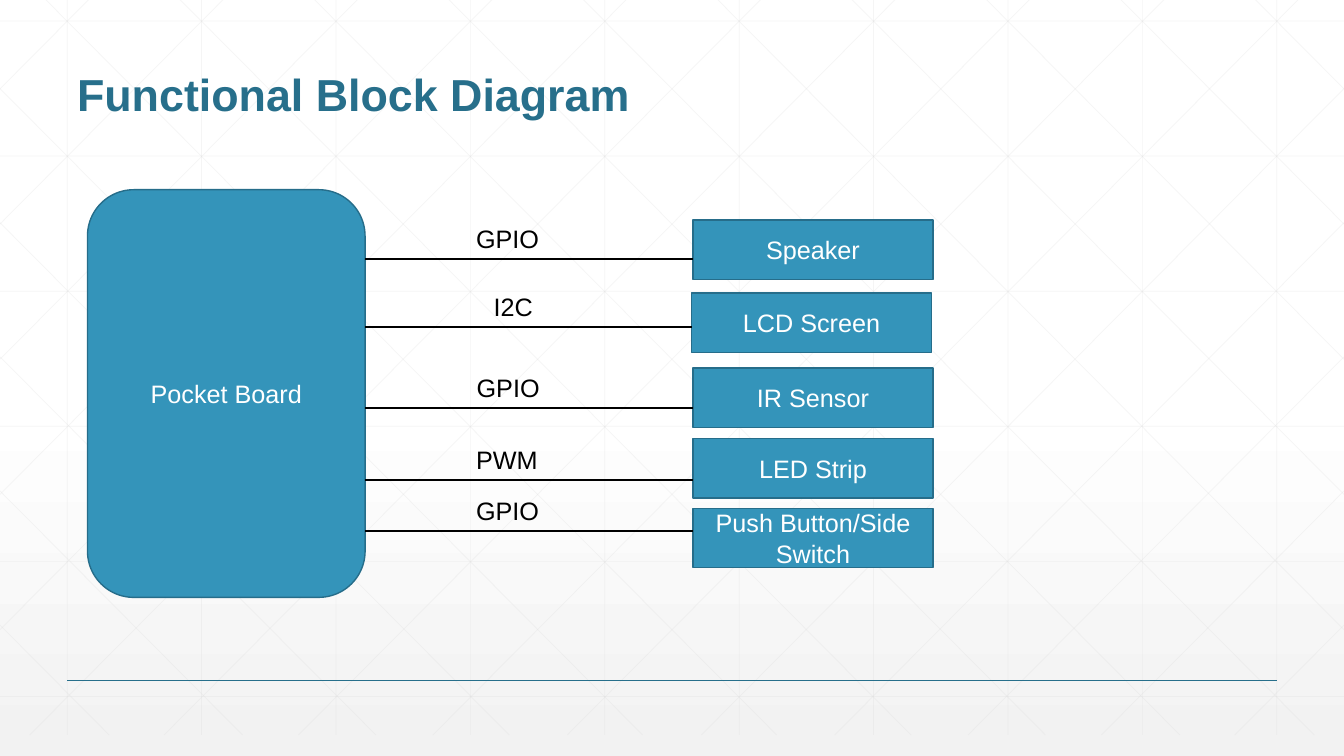
from copy import deepcopy
from dataclasses import dataclass

from lxml import etree
from pptx import Presentation
from pptx.dml.color import RGBColor
from pptx.enum import shapes, text
from pptx.oxml.ns import qn
from pptx.util import Pt


@dataclass(frozen=True)
class Theme:
    font: str = "Arial"
    title_size: int = 32
    body_size: int = 18
    title: str = "276F8B"
    block: str = "3494BA"
    block_edge: str = "266D8A"
    grid: str = "D9D9D9"
    white: str = "FFFFFF"
    shade: str = "F2F2F2"
    black: str = "000000"


THEME = Theme()
WIDTH, HEIGHT = 960, 540
GRID_TOP, GRID_BOTTOM = -15, 525
SLOPE = 1.006

PERIPHERALS = [
    ("GPIO", 333, 185, "Speaker", 495, 157),
    ("I2C", 345.5, 233.4, "LCD Screen", 494, 209.3),
    ("GPIO", 333.4, 291.5, "IR Sensor", 495, 262.8),
    ("PWM", 333, 342.7, "LED Strip", 495, 313.3),
    ("GPIO", 333, 379.4, "Push Button/Side Switch", 495, 363),
]


def rgb(color):
    return RGBColor.from_string(color)


def paint_background(page):
    fill = page.background.fill
    fill.gradient()
    fill.gradient_angle = 270
    for stop, color in zip(fill.gradient_stops, (THEME.white, THEME.shade)):
        stop.color.rgb = rgb(color)
    first, last = page.element.find(".//" + qn("a:gsLst"))
    first.set("pos", "0")
    last.set("pos", "100000")
    middle = deepcopy(first)
    middle.set("pos", "53000")
    first.addnext(middle)


def add_line(page, start, end, color, weight, opacity=100):
    line = page.shapes.add_connector(
        shapes.MSO_CONNECTOR.STRAIGHT, *map(Pt, (*start, *end)))
    line.line.color.rgb = rgb(color)
    line.line.width = Pt(weight)
    properties = line.element.spPr
    etree.SubElement(properties, qn("a:effectLst"))
    if opacity < 100:
        tint = properties.find(".//" + qn("a:srgbClr"))
        etree.SubElement(tint, qn("a:alpha"), val=str(opacity * 1000))


def add_grid_line(page, start, end):
    add_line(page, start, end, THEME.grid, 0.5, 25)


def add_mirrored_pair(page, start, end):
    add_grid_line(page, start, end)
    add_grid_line(page, (WIDTH - start[0], start[1]), (WIDTH - end[0], end[1]))


def add_grid(page):
    for column in range(10):
        x = 48 + 96 * column
        add_grid_line(page, (x, GRID_TOP), (x, GRID_BOTTOM))
    for row in range(6):
        y = 15 + 96.5 * row
        add_grid_line(page, (0, y), (WIDTH, y))
    for step in range(10):
        x = 18 + 96 * step
        run = min(WIDTH - x, (GRID_BOTTOM - GRID_TOP) / SLOPE)
        add_mirrored_pair(page, (x, GRID_TOP), (x + run, GRID_TOP + run * SLOPE))
    for step in range(5):
        x = 501 + 95.25 * step
        rise = (WIDTH - x) * SLOPE
        add_mirrored_pair(page, (x, GRID_BOTTOM), (WIDTH, GRID_BOTTOM - rise))


def write(shape, words, size, color, anchor, align, bold=False):
    frame = shape.text_frame
    frame.word_wrap = True
    frame.vertical_anchor = anchor
    para = frame.paragraphs[0]
    para.text = words
    para.alignment = align
    para.font.name = THEME.font
    para.font.size = Pt(size)
    para.font.bold = bold
    para.font.color.rgb = rgb(color)
    return para


def add_title(page, words):
    box = page.shapes.add_textbox(*map(Pt, (48, 18, 864, 72)))
    para = write(box, words, THEME.title_size, THEME.title,
                 text.MSO_ANCHOR.BOTTOM, text.PP_ALIGN.LEFT, bold=True)
    para.line_spacing = 0.9


def add_block(page, kind, place, words):
    block = page.shapes.add_shape(kind, *map(Pt, place))
    block.shadow.inherit = False
    block.fill.solid()
    block.fill.fore_color.rgb = rgb(THEME.block)
    block.line.color.rgb = rgb(THEME.block_edge)
    block.line.width = Pt(1)
    write(block, words, THEME.body_size, THEME.white,
          text.MSO_ANCHOR.MIDDLE, text.PP_ALIGN.CENTER)


def add_label(page, left, top, words):
    box = page.shapes.add_textbox(*map(Pt, (left, top, 63.4, 29)))
    write(box, words, THEME.body_size, THEME.black,
          text.MSO_ANCHOR.TOP, text.PP_ALIGN.LEFT)
    box.text_frame.auto_size = text.MSO_AUTO_SIZE.SHAPE_TO_FIT_TEXT


def main():
    deck = Presentation()
    deck.slide_width, deck.slide_height = Pt(WIDTH), Pt(HEIGHT)
    page = deck.slides.add_slide(deck.slide_layouts[6])

    paint_background(page)
    add_grid(page)
    add_line(page, (48, 486), (912, 486), THEME.title, 1)
    add_title(page, "Functional Block Diagram")

    kinds = shapes.MSO_SHAPE
    add_block(page, kinds.ROUNDED_RECTANGLE, (62.5, 135.5, 198.3, 291.2), "Pocket Board")
    for bus, label_left, wire_y, device, left, top in PERIPHERALS:
        add_label(page, label_left, wire_y - 29, bus)
        add_block(page, kinds.RECTANGLE, (left, top, 171.4, 42.5), device)
        add_line(page, (260.8, wire_y), (left, wire_y), THEME.black, 1.5)

    deck.save("out.pptx")


if __name__ == "__main__":
    main()
